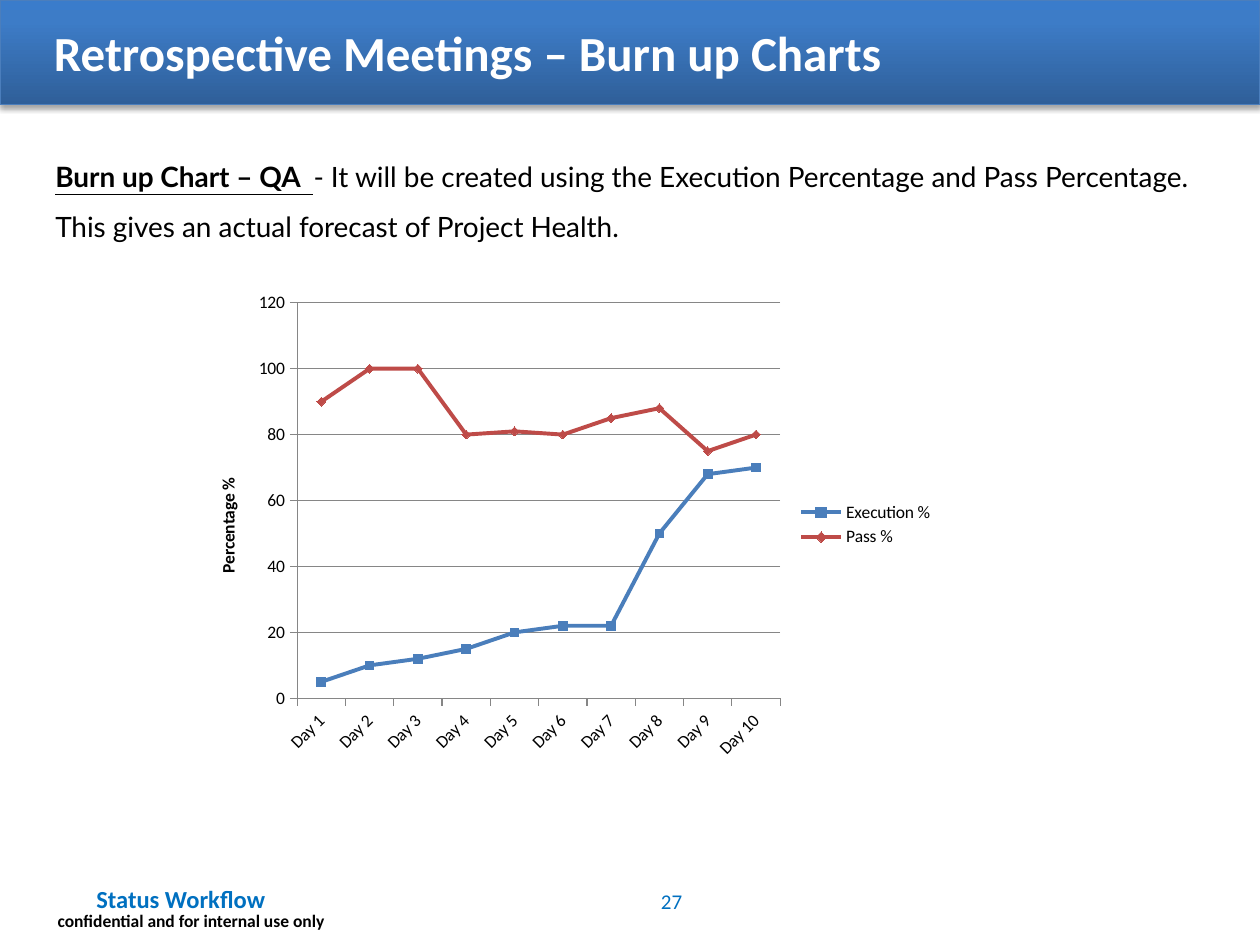
from lxml import etree
from pptx import Presentation
from pptx.chart.data import CategoryChartData
from pptx.dml.color import RGBColor
from pptx.enum.chart import XL_CHART_TYPE, XL_LEGEND_POSITION, XL_MARKER_STYLE, XL_TICK_MARK
from pptx.enum.shapes import MSO_SHAPE
from pptx.enum.text import MSO_ANCHOR, PP_ALIGN
from pptx.oxml import parse_xml
from pptx.oxml.ns import nsdecls, qn
from pptx.util import Inches, Pt

LEFT, CENTER = PP_ALIGN.LEFT, PP_ALIGN.CENTER
TOP, MIDDLE = MSO_ANCHOR.TOP, MSO_ANCHOR.MIDDLE
SQUARE, DIAMOND = XL_MARKER_STYLE.SQUARE, XL_MARKER_STYLE.DIAMOND
LINE_MARKERS = XL_CHART_TYPE.LINE_MARKERS
LEGEND_RIGHT = XL_LEGEND_POSITION.RIGHT
TICK_OUT = XL_TICK_MARK.OUTSIDE

COLORS = {
    "white": "FFFFFF", "black": "000000", "accent": "0070C0", "axis": "868686",
    "band_dark": "2F5F99", "band_mid": "3D7CC7", "band_light": "3A7CCB",
    "band_line": "4B7EBC", "execution": "4A7EBB", "pass": "BE4B48",
}
BAND_STOPS = [(0, "band_dark"), (80, "band_mid"), (100, "band_light")]
DAYS = [f"Day {number}" for number in range(1, 11)]
SERIES = [
    ("Execution %", [5, 10, 12, 15, 20, 22, 22, 50, 68, 70], "execution", SQUARE),
    ("Pass %", [90, 100, 100, 80, 81, 80, 85, 88, 75, 80], "pass", DIAMOND),
]


def rgb(name):
    return RGBColor.from_string(COLORS[name])


class SlideBuilder:
    def __init__(self, page, font="Calibri"):
        self.page = page
        self.font = font

    def style(self, font, size, color="black", bold=False, name=None):
        font.name = name or self.font
        font.size = Pt(size)
        font.bold = bold
        font.color.rgb = rgb(color)

    def band(self, left, top, width, height):
        """Add the header bar with its vertical gradient and soft shadow."""
        bar = self.page.shapes.add_shape(
            MSO_SHAPE.RECTANGLE, Inches(left), Inches(top), Inches(width), Inches(height))
        bar.shadow.inherit = False
        bar.fill.gradient()
        bar.fill.gradient_angle = 90
        properties = bar._element.spPr
        stops = properties.find(".//" + qn("a:gsLst"))
        for stop in list(stops):
            stops.remove(stop)
        for position, color in BAND_STOPS:
            stop = etree.SubElement(stops, qn("a:gs"), pos=str(position * 1000))
            etree.SubElement(stop, qn("a:srgbClr"), val=COLORS[color])
        bar.line.color.rgb = rgb("band_line")
        bar.line.width = Pt(0.75)
        properties.find(qn("a:effectLst")).append(parse_xml(
            f'<a:outerShdw {nsdecls("a")} blurRad="{Pt(3.1)}" dist="{Pt(1.8)}" dir="5400000"'
            f' rotWithShape="0"><a:srgbClr val="{COLORS["black"]}"><a:alpha val="35000"/>'
            '</a:srgbClr></a:outerShdw>'))

    def text(self, left, top, width, height, words, size, color="black", bold=False,
             align=LEFT, anchor=MIDDLE, wrap=True):
        box = self.page.shapes.add_textbox(
            Inches(left), Inches(top), Inches(width), Inches(height))
        box.text_frame.word_wrap = wrap
        box.text_frame.vertical_anchor = anchor
        para = box.text_frame.paragraphs[0]
        para.text = words
        para.alignment = align
        self.style(para.font, size, color, bold)

    def definition(self, left, top, width, height, term, meaning, size):
        """Add a paragraph that opens with an underlined bold term."""
        box = self.page.shapes.add_textbox(
            Inches(left), Inches(top), Inches(width), Inches(height))
        box.text_frame.word_wrap = True
        para = box.text_frame.paragraphs[0]
        para.line_spacing = 1.5
        for words, is_term in ((term, True), (meaning, False)):
            span = para.add_run()
            span.text = words
            self.style(span.font, size, bold=is_term, name="Lato")
            span.font.underline = is_term

    def line_chart(self, left, top, width, height, categories, series, value_title):
        data = CategoryChartData()
        data.categories = categories
        for name, values, _, _ in series:
            data.add_series(name, values)
        chart = self.page.shapes.add_chart(
            LINE_MARKERS, Inches(left), Inches(top), Inches(width), Inches(height), data).chart
        self.style(chart.font, 10)
        chart.has_title = False
        chart.has_legend = True
        chart.legend.position = LEGEND_RIGHT
        chart.legend.include_in_layout = False
        chart.plots[0].vary_by_categories = False

        for line, (_, _, color, marker) in zip(chart.plots[0].series, series):
            line.smooth = False
            line.format.line.color.rgb = rgb(color)
            line.format.line.width = Pt(2.25)
            line.marker.style = marker
            line.marker.size = 5
            line.marker.format.fill.solid()
            line.marker.format.fill.fore_color.rgb = rgb(color)
            line.marker.format.line.color.rgb = rgb(color)

        days, percent = chart.category_axis, chart.value_axis
        percent.minimum_scale, percent.maximum_scale, percent.major_unit = 0, 120, 20
        percent.has_major_gridlines = True
        for outline in (days.format.line, percent.format.line, percent.major_gridlines.format.line):
            outline.color.rgb = rgb("axis")
            outline.width = Pt(0.75)
        for axis in (days, percent):
            axis.major_tick_mark = TICK_OUT
            self.style(axis.tick_labels.font, 10)
        days._element.find(qn("c:txPr")).find(qn("a:bodyPr")).set("rot", "-2700000")
        title = percent.axis_title.text_frame
        title.text = value_title
        self.style(title.paragraphs[0].font, 10, bold=True)
        self.place_plot(chart, x=0.14, y=0.04, w=0.64, h=0.82)

    def place_plot(self, chart, **fractions):
        """Fix the inner plot area, in fractions of the chart's size."""
        area = chart._chartSpace.chart.plotArea
        for layout in area.findall(qn("c:layout")):
            area.remove(layout)
        layout = etree.Element(qn("c:layout"))
        manual = etree.SubElement(layout, qn("c:manualLayout"))
        settings = [("layoutTarget", "inner"), ("xMode", "edge"), ("yMode", "edge")]
        for tag, value in settings + list(fractions.items()):
            etree.SubElement(manual, qn(f"c:{tag}"), val=str(value))
        area.insert(0, layout)


def main():
    deck = Presentation()
    deck.slide_width, deck.slide_height = Inches(10), Inches(7.5)
    page = SlideBuilder(deck.slides.add_slide(deck.slide_layouts[6]))

    page.band(0, 0, 10, 0.83)
    page.text(0.33, 0, 9.17, 0.83, "Retrospective Meetings – Burn up Charts", 28, "white", True)
    page.definition(
        0.34, 1.08, 9.41, 2.12, "Burn up Chart – QA  ",
        "- It will be created using the Execution Percentage and Pass Percentage. "
        "This gives an actual forecast of Project Health.", 16)
    page.line_chart(1.52, 2.25, 5.99, 3.83, DAYS, SERIES, "Percentage %")
    page.text(5.04, 6.95, 0.58, 0.4, "27", 12, "accent", align=CENTER)
    page.text(0.34, 7.17, 2.35, 0.27, "confidential and for internal use only", 10,
              bold=True, align=CENTER, anchor=TOP, wrap=False)
    page.text(0.17, 6.93, 2.53, 0.4, "Status Workflow", 14, "accent", True, CENTER)

    deck.save("out.pptx")


if __name__ == "__main__":
    main()
